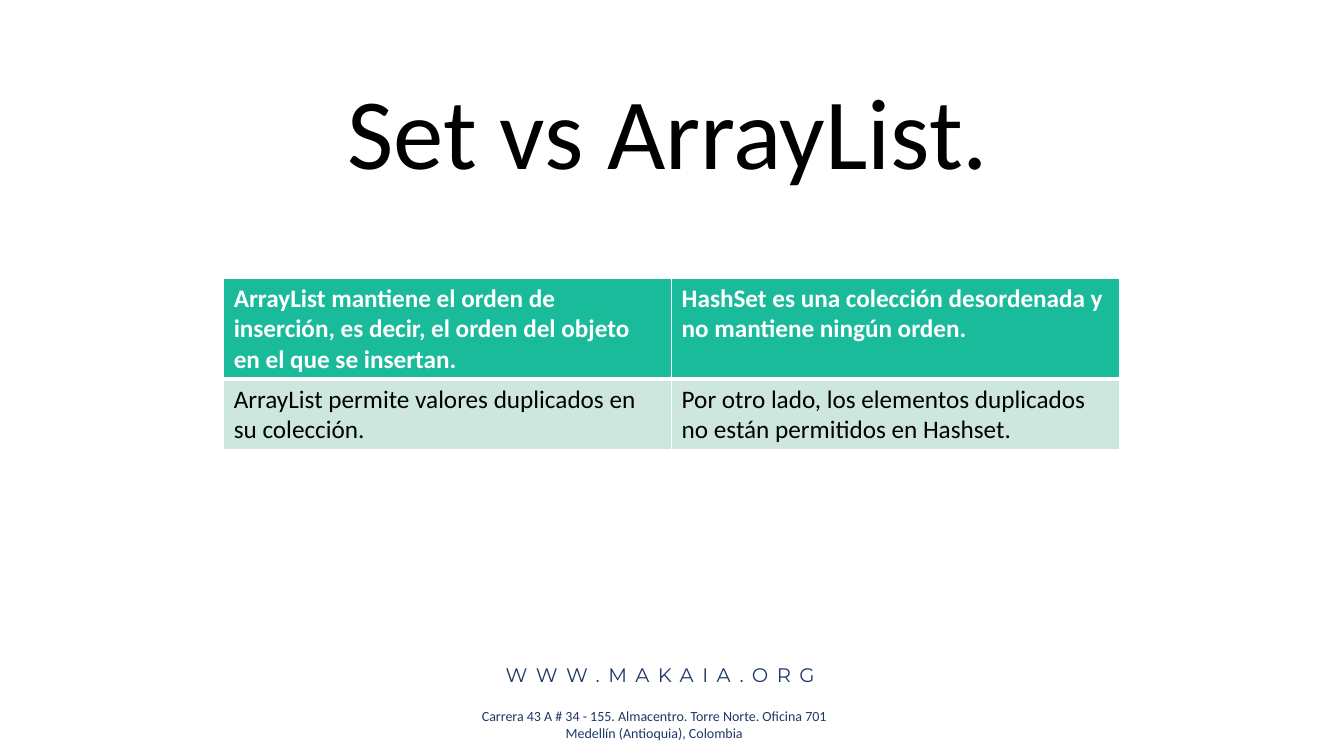
from pptx import Presentation
from pptx.dml.color import RGBColor as RGB
from pptx.enum.text import MSO_ANCHOR as Anchor, MSO_AUTO_SIZE as Auto, PP_ALIGN as Align
from pptx.oxml.ns import qn
from pptx.util import Pt
from lxml.etree import SubElement as Sub

NAVY = RGB(0x20, 0x38, 0x64)
BLACK = RGB(0, 0, 0)
WHITE = RGB(0xFF, 0xFF, 0xFF)
TEAL = RGB(0x1A, 0xBB, 0x9B)
MINT = RGB(0xCD, 0xE7, 0xDE)

# Content: place, wrap, alignment, spacing, font, lines
TEXTS = [
    ((204.5, 501.8, 525.6, 31.7), True, Align.CENTER, 0,
     {"name": "Calibri", "size": Pt(10)}, NAVY,
     ["Carrera 43 A # 34 - 155. Almacentro. Torre Norte. Oficina 701",
      "Medellín (Antioquia), Colombia"]),
    ((234.7, 470.2, 473.8, 24.5), True, Align.CENTER, 6,
     {"name": "Montserrat", "size": Pt(14)}, NAVY, ["WWW.MAKAIA.ORG"]),
    ((241.2, 45.4, 477.4, 94.3), False, Align.LEFT, 0,
     {"name": "Calibri", "size": Pt(72)}, BLACK, ["Set vs ArrayList."]),
]
ROWS = [
    ("ArrayList mantiene el orden de inserción, es decir, el orden del objeto "
     "en el que se insertan.",
     "HashSet es una colección desordenada y no mantiene ningún orden."),
    ("ArrayList permite valores duplicados en su colección.",
     "Por otro lado, los elementos duplicados no están permitidos en Hashset."),
]
# Row looks: height, fill, font colour, bold, border widths
LOOKS = [
    (72, TEAL, WHITE, True, {"lnL": 1, "lnR": 1, "lnT": 1, "lnB": 3}),
    (50.4, MINT, BLACK, False, {"lnL": 1, "lnR": 1, "lnT": 3, "lnB": 1}),
]
LEFT, TOP, WIDTH = 159.8, 198.7, 640


def style(font, form, color):
    for key, val in form.items():
        setattr(font, key, val)
    font.color.rgb = color


def add_text(slide, place, wrap, align, gap, form, color, lines):
    box = slide.shapes.add_textbox(*map(Pt, place))
    frame = box.text_frame
    frame.word_wrap = wrap
    frame.auto_size = Auto.SHAPE_TO_FIT_TEXT
    frame.text = "\n".join(lines)
    for para in frame.paragraphs:
        para.alignment = align
        for run in para.runs:
            style(run.font, form, color)
            if gap:
                run.font._element.set("spc", str(gap * 100))


def add_edges(cell, edges):
    props = cell._tc.get_or_add_tcPr()
    for spot, (tag, width) in enumerate(edges.items()):
        line = Sub(props, qn("a:" + tag), w=str(Pt(width)))
        Sub(Sub(line, qn("a:solidFill")), qn("a:srgbClr"), val=str(WHITE))
        props.insert(spot, line)


def add_grid(slide):
    high = sum(look[0] for look in LOOKS)
    grid = slide.shapes.add_table(len(ROWS), len(ROWS[0]), Pt(LEFT), Pt(TOP),
                                  Pt(WIDTH), Pt(high)).table
    grid.horz_banding = False
    for row, words, look in zip(grid.rows, ROWS, LOOKS):
        tall, fill, color, bold, edges = look
        row.height = Pt(tall)
        for cell, text in zip(row.cells, words):
            cell.text = text
            cell.vertical_anchor = Anchor.TOP
            cell.fill.solid()
            cell.fill.fore_color.rgb = fill
            add_edges(cell, edges)
            form = {"name": "Calibri", "size": Pt(18), "bold": bold}
            style(cell.text_frame.paragraphs[0].runs[0].font, form, color)


def main():
    deck = Presentation()
    deck.slide_width, deck.slide_height = Pt(960), Pt(540)
    slide = deck.slides.add_slide(deck.slide_layouts[6])
    # Footer and title
    for item in TEXTS:
        add_text(slide, *item)
    # Comparison table
    add_grid(slide)
    deck.save("out.pptx")


if __name__ == "__main__":
    main()
